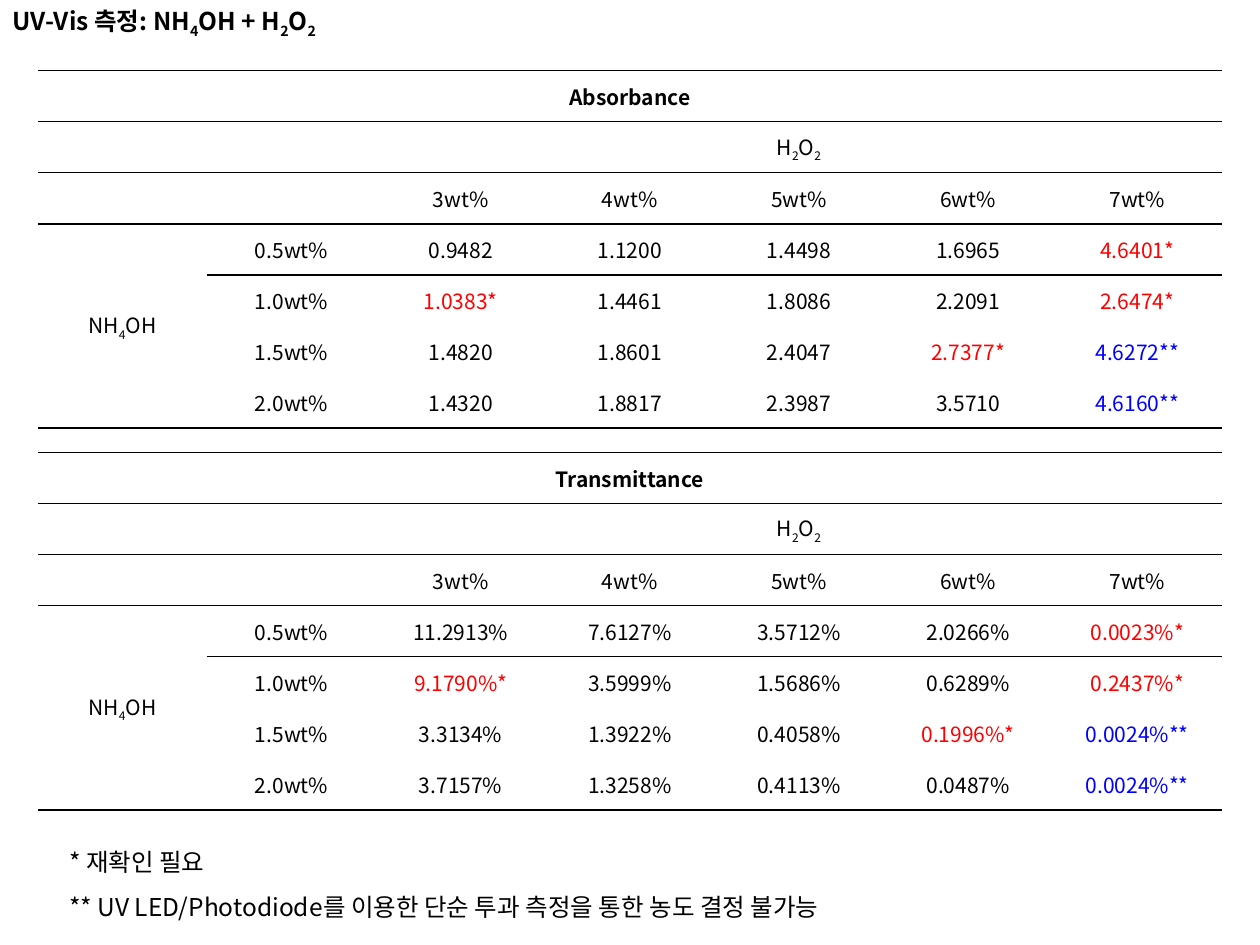
from dataclasses import dataclass

from lxml import etree
from pptx import Presentation, util as u
from pptx.dml.color import RGBColor
from pptx.enum import text
from pptx.oxml.ns import qn

FONT = "Noto Sans CJK KR"
BLACK, RED, BLUE = "000000", "FF0000", "0000FF"
NO_STYLE_NO_GRID = "{2D5ABB26-0587-4C30-8999-92F81FD0307C}"
PEROXIDE, AMMONIA = "H|2|O|2", "NH|4|OH"
PEROXIDE_LEVELS = ["3wt%", "4wt%", "5wt%", "6wt%", "7wt%"]
AMMONIA_LEVELS = ["0.5wt%", "1.0wt%", "1.5wt%", "2.0wt%"]


@dataclass
class Measurement:
    title: str
    top: float
    values: list[str]  # one line of values for each ammonia level


MEASUREMENTS = [
    Measurement("Absorbance", 0.56, [
        "0.9482 1.1200 1.4498 1.6965 4.6401*",
        "1.0383* 1.4461 1.8086 2.2091 2.6474*",
        "1.4820 1.8601 2.4047 2.7377* 4.6272**",
        "1.4320 1.8817 2.3987 3.5710 4.6160**",
    ]),
    Measurement("Transmittance", 3.59, [
        "11.2913% 7.6127% 3.5712% 2.0266% 0.0023%*",
        "9.1790%* 3.5999% 1.5686% 0.6289% 0.2437%*",
        "3.3134% 1.3922% 0.4058% 0.1996%* 0.0024%**",
        "3.7157% 1.3258% 0.4113% 0.0487% 0.0024%**",
    ]),
]
NOTES = [
    "* 재확인 필요",
    "** UV LED/Photodiode를 이용한 단순 투과 측정을 통한 농도 결정 불가능",
]


def rgb(color: str) -> RGBColor:
    return RGBColor.from_string(color)


def write(paragraph, content: str, size: float, color: str = BLACK,
          bold: bool = False) -> None:
    """Write content; every second part between bars is a subscript."""
    for index, part in enumerate(content.split("|")):
        if part:
            run = paragraph.add_run()
            run.text = part
            if index % 2:
                run._r.get_or_add_rPr().set("baseline", "-25000")
    font = paragraph.font
    font.name, font.size, font.bold = FONT, u.Pt(size), bold
    font.color.rgb = rgb(color)
    defaults = paragraph._p.pPr.find(qn("a:defRPr"))
    etree.SubElement(defaults, qn("a:ea"), typeface=FONT)
    if not content:
        etree.SubElement(paragraph._p, qn("a:endParaRPr"), sz=str(size * 100))


def fit_frame(frame) -> None:
    frame.word_wrap = False
    frame.auto_size = text.MSO_AUTO_SIZE.SHAPE_TO_FIT_TEXT
    frame.vertical_anchor = text.MSO_ANCHOR.TOP


def add_border(cell, side: str) -> None:
    properties = cell._tc.get_or_add_tcPr()
    line = etree.Element(qn(f"a:ln{side}"), w=str(u.Pt(1)))
    fill = etree.SubElement(line, qn("a:solidFill"))
    etree.SubElement(fill, qn("a:srgbClr"), val=BLACK)
    # Borders come before the fill, top before bottom
    borders = [child for child in properties if child.tag.startswith(qn("a:ln"))]
    properties.insert(len(borders), line)


def value_color(value: str) -> str:
    return [BLACK, RED, BLUE][value.count("*")]


def add_measurement(slide, measurement: Measurement) -> None:
    rows = [
        [measurement.title] + [""] * 6,
        ["", "", PEROXIDE] + [""] * 4,
        ["", ""] + PEROXIDE_LEVELS,
    ]
    for index, (level, line) in enumerate(zip(AMMONIA_LEVELS, measurement.values)):
        rows.append(["" if index else AMMONIA, level] + line.split())

    shape = slide.shapes.add_table(7, 7, u.Inches(0.3), u.Inches(measurement.top),
                                   u.Inches(9.4), u.Inches(2.84))
    table = shape.table
    table.first_row = table.horz_banding = False
    table._tbl.tblPr.find(qn("a:tableStyleId")).text = NO_STYLE_NO_GRID
    table.cell(0, 0).merge(table.cell(0, 6))
    table.cell(1, 2).merge(table.cell(1, 6))
    table.cell(3, 0).merge(table.cell(6, 0))

    for row, contents in enumerate(rows):
        for column, content in enumerate(contents):
            cell = table.cell(row, column)
            cell.vertical_anchor = text.MSO_ANCHOR.MIDDLE
            cell.fill.background()
            paragraph = cell.text_frame.paragraphs[0]
            paragraph.alignment = text.PP_ALIGN.CENTER
            write(paragraph, content, 12, value_color(content), bold=row == 0)
            if row == 0:
                add_border(cell, "T")
            if row not in (4, 5):
                add_border(cell, "B")


def main() -> None:
    presentation = Presentation()
    presentation.slide_width, presentation.slide_height = u.Inches(10), u.Inches(7.5)
    slide = presentation.slides.add_slide(presentation.slide_layouts[5])

    # Title
    title = slide.shapes.title
    title.left, title.top = u.Inches(0), u.Inches(0)
    title.width, title.height = u.Inches(2.98), u.Inches(0.34)
    fit_frame(title.text_frame)
    paragraph = title.text_frame.paragraphs[0]
    paragraph.alignment = text.PP_ALIGN.LEFT
    write(paragraph, "UV-Vis 측정: NH|4|OH + H|2|O|2", 14, bold=True)

    # Measurement tables
    for measurement in MEASUREMENTS:
        add_measurement(slide, measurement)

    # Footnotes
    box = slide.shapes.add_textbox(u.Inches(0.45), u.Inches(6.56),
                                   u.Inches(6.69), u.Inches(0.81))
    frame = box.text_frame
    fit_frame(frame)
    for index, note in enumerate(NOTES):
        paragraph = frame.add_paragraph() if index else frame.paragraphs[0]
        paragraph.line_spacing = 1.5
        write(paragraph, note, 14)

    presentation.save("out.pptx")


if __name__ == "__main__":
    main()
